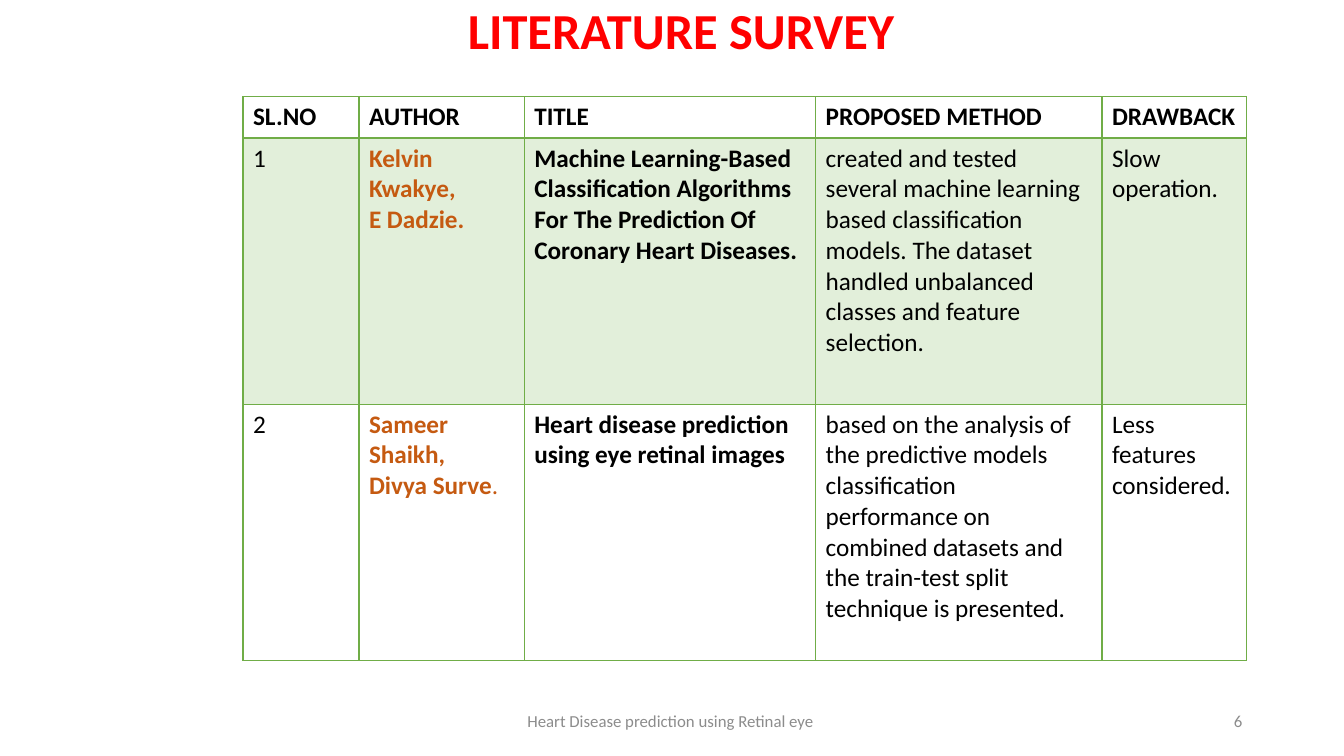
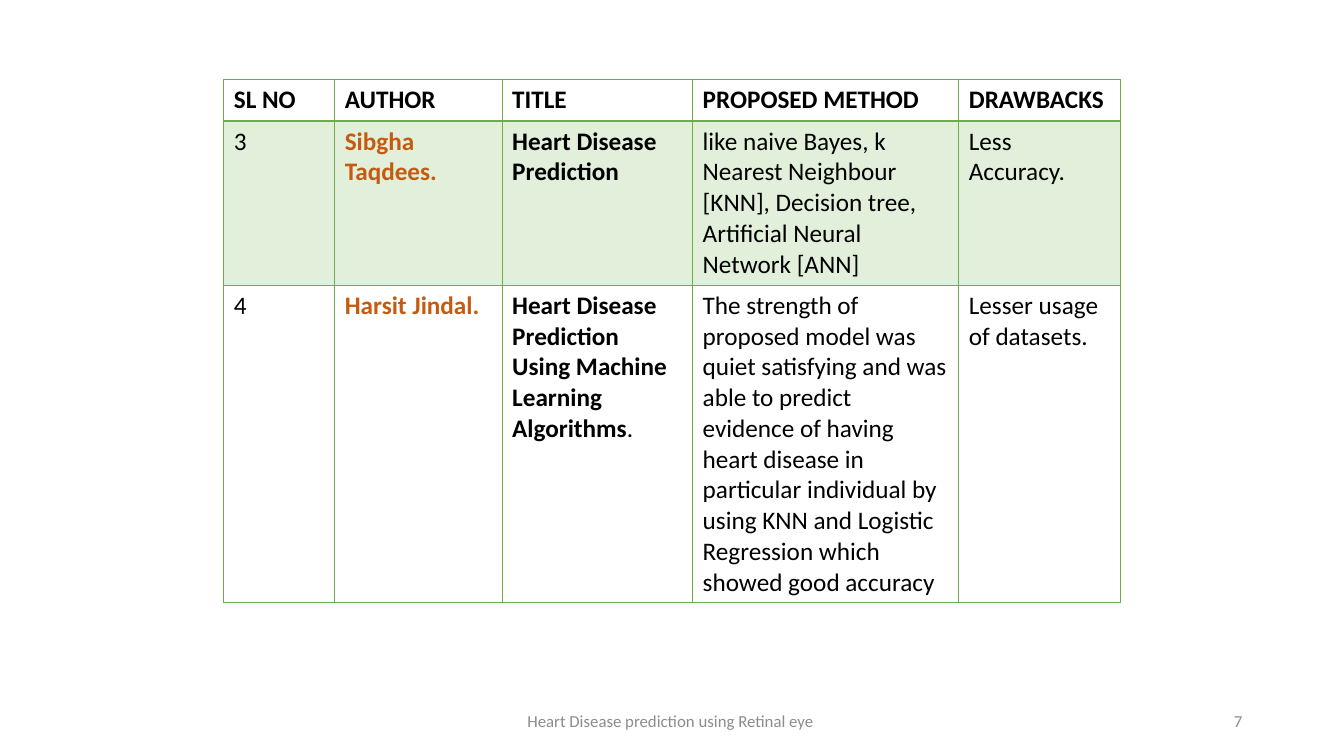
"""Build the literature survey slides with their comparison tables."""
from dataclasses import dataclass
from typing import Any, NamedTuple, Optional

from lxml.etree import SubElement as Sub
from pptx import Presentation
from pptx.dml.color import RGBColor as RGB
from pptx.enum.text import MSO_ANCHOR as Anchor, PP_ALIGN as Align
from pptx.oxml.ns import qn
from pptx.util import Emu, Pt

PX = 9144


class Box(NamedTuple):
    left: int
    top: int
    width: int
    height: int

    def emu(self) -> list[Emu]:
        return [Emu(v * PX) for v in self]


@dataclass(frozen=True)
class Theme:
    font: str = "Calibri"
    black: str = "000000"
    title: str = "FF0000"
    author: str = "C55A11"
    border: str = "70AD47"
    band: str = "E2EFDA"
    muted: str = "8C8C8C"
    title_pt: int = 36
    body_pt: int = 18
    footer_pt: int = 12
    line_pt: int = 1
    header_line_pt: int = 2


@dataclass(frozen=True)
class Column:
    color: str
    bold: bool


@dataclass(frozen=True)
class Survey:
    number: int
    left: int
    top: int
    widths: tuple[int, ...]
    heights: tuple[int, ...]
    rows: tuple[tuple[str, ...], ...]
    title: Optional[str] = None


T = Theme()
HEADER = Column(T.black, True)
PLAIN = Column(T.black, False)
COLUMNS = (PLAIN, Column(T.author, True), HEADER, PLAIN, PLAIN)
TITLE_BOX = Box(454, -20, 544, 105)
FOOTER_BOX = Box(442, 695, 450, 40)
NUMBER_BOX = Box(942, 695, 300, 40)
FOOTER = "Heart Disease prediction using Retinal eye "
PLAIN_MARK = "|"

SURVEYS = (
    Survey(
        6, 241, 96, (115, 164, 289, 284, 143), (41, 264, 254),
        (
            ("SL.NO", "AUTHOR", "TITLE", "PROPOSED METHOD", "DRAWBACK"),
            ("1", "Kelvin Kwakye,\nE Dadzie.",
             "Machine Learning-Based Classification Algorithms For The "
             "Prediction Of Coronary Heart Diseases.",
             "created and tested several machine learning based "
             "classification models. The dataset handled unbalanced classes "
             "and feature selection.",
             "Slow operation."),
            ("2", "Sameer Shaikh,\nDivya Surve|.",
             "Heart disease prediction using eye retinal images",
             "based on the analysis of the predictive models classification "
             "performance on combined datasets and the train-test split "
             "technique is presented.",
             "Less features considered."),
        ),
        "LITERATURE SURVEY",
    ),
    Survey(
        7, 222, 79, (110, 166, 189, 264, 160), (41, 163, 315),
        (
            ("SL NO", "AUTHOR", "TITLE", "PROPOSED METHOD", "DRAWBACKS"),
            ("3", "Sibgha Taqdees.", "Heart Disease Prediction",
             "like naive Bayes, k Nearest Neighbour\n"
             "[KNN], Decision tree, Artificial Neural Network [ANN]",
             "Less Accuracy."),
            ("4", "Harsit Jindal.",
             "Heart Disease Prediction Using Machine Learning Algorithms|.",
             "The strength of proposed model was quiet satisfying and was "
             "able to predict evidence of having heart disease in particular "
             "individual by using KNN and Logistic Regression which showed "
             "good accuracy",
             "Lesser usage of datasets."),
        ),
    ),
)


def add_run(p: Any, text: str, size: int, color: str, bold: bool) -> None:
    r = p.add_run()
    r.text = text
    for name, value in {"name": T.font, "size": Pt(size), "bold": bold}.items():
        setattr(r.font, name, value)
    r.font.color.rgb = RGB.from_string(color)


def add_label(s: Any, box: Box, text: str, align: Align) -> None:
    tf = s.shapes.add_textbox(*box.emu()).text_frame
    for name, value in {"word_wrap": True, "vertical_anchor": Anchor.MIDDLE}.items():
        setattr(tf, name, value)
    p = tf.paragraphs[0]
    p.alignment = align
    add_run(p, text, T.footer_pt, T.muted, False)


def set_title(s: Any, text: str) -> None:
    sp = s.shapes.title
    for name, value in zip(Box._fields, TITLE_BOX.emu()):
        setattr(sp, name, value)
    tf = sp.text_frame
    tf.vertical_anchor = Anchor.MIDDLE
    p = tf.paragraphs[0]
    for name, value in {"alignment": Align.LEFT, "line_spacing": 0.9}.items():
        setattr(p, name, value)
    add_run(p, text, T.title_pt, T.title, True)


def set_borders(cell: Any, header: bool) -> None:
    tc_pr = cell._tc.get_or_add_tcPr()
    for side in "LRTB":
        width = T.header_line_pt if header and side == "B" else T.line_pt
        ln = Sub(tc_pr, qn(f"a:ln{side}"), w=str(Pt(width)))
        Sub(Sub(ln, qn("a:solidFill")), qn("a:srgbClr"), val=T.border)


def fill_cell(cell: Any, text: str, column: Column) -> None:
    tf = cell.text_frame
    for i, line in enumerate(text.split("\n")):
        p = tf.add_paragraph() if i else tf.paragraphs[0]
        main, _, tail = line.partition(PLAIN_MARK)
        add_run(p, main, T.body_pt, column.color, column.bold)
        if tail:
            add_run(p, tail, T.body_pt, column.color, False)


def add_survey_table(s: Any, survey: Survey) -> None:
    box = Box(survey.left, survey.top, sum(survey.widths), sum(survey.heights))
    table = s.shapes.add_table(
        len(survey.rows), len(COLUMNS), *box.emu()).table
    table.horz_banding = False
    for col, width in zip(table.columns, survey.widths):
        col.width = Emu(width * PX)
    for i, (row, height) in enumerate(zip(table.rows, survey.heights)):
        row.height = Emu(height * PX)
        for cell, text, column in zip(row.cells, survey.rows[i], COLUMNS):
            fill_cell(cell, text, column if i else HEADER)
            set_borders(cell, i == 0)
            if i % 2:
                cell.fill.solid()
                cell.fill.fore_color.rgb = RGB.from_string(T.band)
            else:
                cell.fill.background()


def add_survey_slide(prs: Any, survey: Survey) -> None:
    layout = "Title Only" if survey.title else "Blank"
    s = prs.slides.add_slide(prs.slide_layouts.get_by_name(layout))
    if survey.title:
        set_title(s, survey.title)
    add_survey_table(s, survey)
    add_label(s, FOOTER_BOX, FOOTER, Align.CENTER)
    add_label(s, NUMBER_BOX, str(survey.number), Align.RIGHT)


def main() -> None:
    prs = Presentation()
    prs.slide_width, prs.slide_height = Emu(1333 * PX), Emu(750 * PX)
    for survey in SURVEYS:
        add_survey_slide(prs, survey)
    prs.save("out.pptx")


if __name__ == "__main__":
    main()
